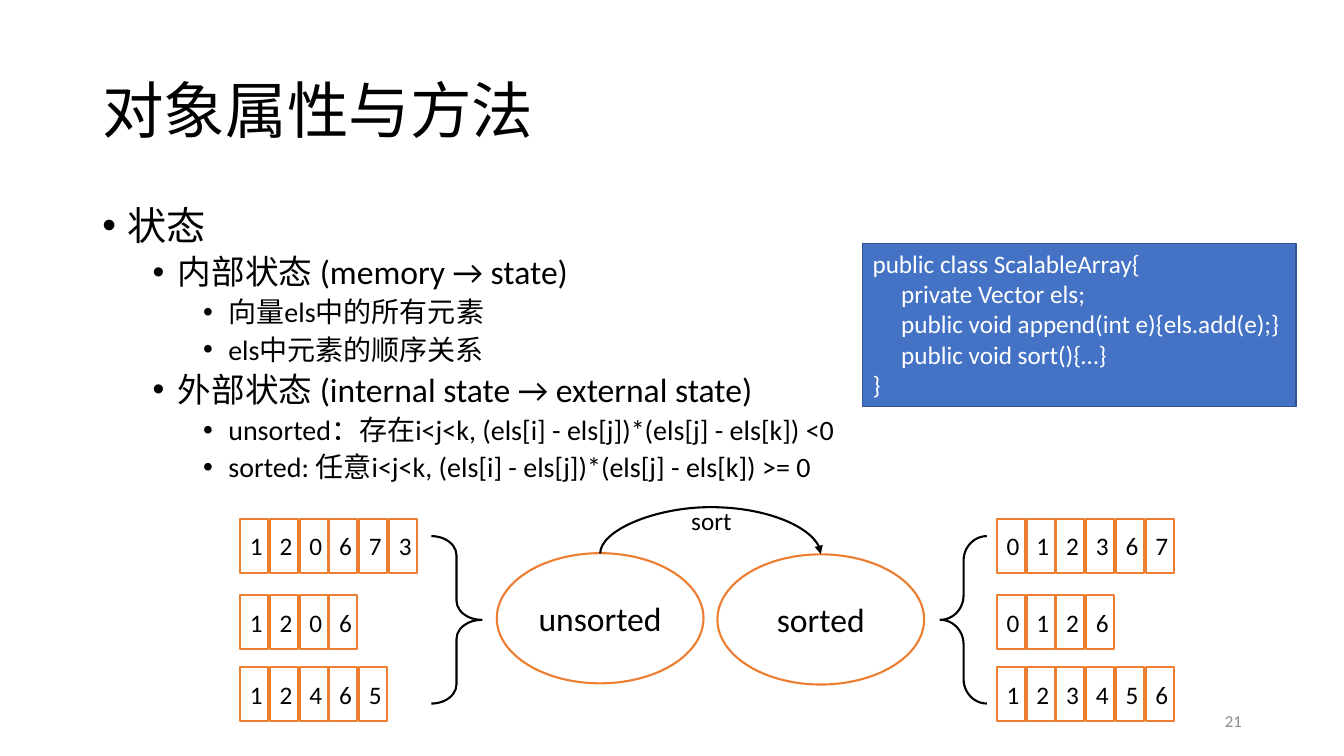
from lxml import etree
from pptx import Presentation
from pptx import util as u
from pptx.dml.color import RGBColor
from pptx.enum import shapes, text
from pptx.oxml.ns import qn

COLOURS = {"black": "000000", "white": "FFFFFF", "orange": "ED7D31",
           "blue": "4472C4", "navy": "325491", "grey": "8C8C8C"}


def colour(name):
    return RGBColor.from_string(COLOURS[name])


def write(para, words, size=18, ink="black", align=None, line=None, before=None):
    """Put one formatted span of text into a paragraph."""
    span = para.add_run()
    span.text = words
    span.font.size = u.Pt(size)
    span.font.name = "Calibri"
    span.font.color.rgb = colour(ink)
    para.alignment = align
    para.line_spacing = line
    if before is not None:
        para.space_before = u.Pt(before)


def indent(para, margin, hanging=0):
    properties = para._p.get_or_add_pPr()
    properties.set("marL", str(u.Cm(margin)))
    properties.set("indent", str(-u.Cm(hanging)))
    return properties


class Slide:
    def __init__(self, deck):
        self.page = deck.slides.add_slide(deck.slide_layouts[6])
        self.line_width = u.Pt(1.5)

    def text_box(self, place, words, wrap=True, anchor=text.MSO_ANCHOR.TOP, **style):
        box = self.page.shapes.add_textbox(*map(u.Cm, place))
        frame = box.text_frame
        frame.word_wrap = wrap
        frame.vertical_anchor = anchor
        if words:
            write(frame.paragraphs[0], words, **style)
        return frame

    def outline(self, items, place):
        frame = self.text_box(place, "")
        for number, (level, words) in enumerate(items):
            para = frame.add_paragraph() if number else frame.paragraphs[0]
            para.level = level
            write(para, words, size=28 - 4 * level, line=0.9, before=5 if level else 10)
            properties = indent(para, 0.635 + 1.27 * level, 0.635)
            etree.SubElement(properties, qn("a:buFont")).set("typeface", "Arial")
            etree.SubElement(properties, qn("a:buChar")).set("char", "•")

    def shape(self, kind, place, fill="white", line="orange", width=None):
        shape = self.page.shapes.add_shape(kind, *map(u.Cm, place))
        shape.shadow.inherit = False
        if fill:
            shape.fill.solid()
            shape.fill.fore_color.rgb = colour(fill)
        else:
            shape.fill.background()
        shape.line.color.rgb = colour(line)
        shape.line.width = width or self.line_width
        return shape

    def label(self, kind, place, words, size=18):
        shape = self.shape(kind, place)
        shape.text_frame.vertical_anchor = text.MSO_ANCHOR.MIDDLE
        write(shape.text_frame.paragraphs[0], words, size, align=text.PP_ALIGN.CENTER)
        return shape

    def code(self, lines, place):
        box = self.shape(shapes.MSO_SHAPE.RECTANGLE, place, "blue", "navy", u.Pt(1))
        frame = box.text_frame
        frame.word_wrap = False
        frame.auto_size = text.MSO_AUTO_SIZE.SHAPE_TO_FIT_TEXT
        frame.vertical_anchor = text.MSO_ANCHOR.TOP
        for number, (depth, words) in enumerate(lines):
            para = frame.add_paragraph() if number else frame.paragraphs[0]
            write(para, words, ink="white", align=text.PP_ALIGN.LEFT)
            indent(para, 0.72 * depth)

    def array(self, digits, left, top):
        for index, digit in enumerate(digits):
            self.label(shapes.MSO_SHAPE.RECTANGLE,
                       (left + 0.75 * index, top, 0.71, 1.37), digit)

    def brace(self, place, curl, flip=False):
        brace = self.shape(shapes.MSO_SHAPE.RIGHT_BRACE, place, None, "black")
        brace.adjustments[0] = curl
        if flip:
            brace._element.spPr.find(qn("a:xfrm")).set("flipH", "1")

    def arc_arrow(self, start, end, rise):
        """Curved arrow from the top of one shape to the top of another."""
        arrow = self.page.shapes.add_connector(shapes.MSO_CONNECTOR.CURVE, 0, 0, 0, 0)
        arrow.begin_connect(start, 0)
        arrow.end_connect(end, 0)
        first, last = (item.left + item.width // 2 for item in (start, end))
        thickness = u.Cm(0.01)
        span = last - first
        arrow.left = (first + last - thickness) // 2
        arrow.top = (start.top + end.top - span) // 2
        arrow.width, arrow.height = thickness, span
        arrow.line.color.rgb = colour("black")
        arrow.line.width = self.line_width
        # Turned a quarter so that the curve bulges upwards
        properties = arrow._element.spPr
        frame = properties.find(qn("a:xfrm"))
        for key, value in (("rot", "16200000"), ("flipH", "1"), ("flipV", "0")):
            frame.set(key, value)
        bulge = etree.SubElement(properties.find(qn("a:prstGeom")).find(qn("a:avLst")),
                                 qn("a:gd"))
        bulge.set("name", "adj1")
        bulge.set("fmla", f"val {-round(u.Cm(rise) / thickness * 100000)}")
        etree.SubElement(properties.find(qn("a:ln")), qn("a:tailEnd")).set("type", "triangle")
        etree.SubElement(properties, qn("a:effectLst"))


def main():
    deck = Presentation()
    deck.slide_width, deck.slide_height = u.Cm(33.87), u.Cm(19.05)
    slide = Slide(deck)
    middle = text.MSO_ANCHOR.MIDDLE

    # Title and outline
    slide.text_box((2.33, 1.01, 29.21, 3.68), "对象属性与方法", anchor=middle,
                   size=44, line=0.9)
    slide.outline([
        (0, "状态"),
        (1, "内部状态 (memory → state)"),
        (2, "向量els中的所有元素"),
        (2, "els中元素的顺序关系"),
        (1, "外部状态 (internal state → external state)"),
        (2, "unsorted：存在i<j<k, (els[i] - els[j])*(els[j] - els[k]) <0"),
        (2, "sorted: 任意i<j<k, (els[i] - els[j])*(els[j] - els[k]) >= 0"),
    ], (2.33, 5.07, 29.21, 12.09))

    # Class listing
    slide.code([
        (0, "public class ScalableArray{"),
        (1, "private Vector els;"),
        (1, "public void append(int e){els.add(e);}"),
        (1, "public void sort(){…}"),
        (0, "}"),
    ], (21.74, 6.13, 10.92, 4.11))

    # Example arrays on both sides
    rows = [(13.07, "120673", "012367"), (14.99, "1206", "0126"),
            (16.81, "12465", "123456")]
    for top, unsorted_digits, sorted_digits in rows:
        slide.array(unsorted_digits, 6.05, top)
        slide.array(sorted_digits, 25.12, top)
    slide.brace((10.87, 13.51, 1.27, 4.22), 0.38)
    slide.brace((23.7, 13.51, 1.17, 4.22), 0.53, flip=True)

    # States and the transition between them
    oval = shapes.MSO_SHAPE.OVAL
    unsorted_state = slide.label(oval, (12.52, 13.94, 5.21, 3.28), "unsorted", 24)
    sorted_state = slide.label(oval, (18.08, 13.97, 5.21, 3.28), "sorted", 24)
    slide.arc_arrow(unsorted_state, sorted_state, 1.17)
    slide.text_box((17.17, 12.6, 1.55, 1.02), "sort", wrap=False)

    # Page number
    slide.text_box((23.93, 17.65, 7.62, 1.02), "21", anchor=middle, size=12,
                   ink="grey", align=text.PP_ALIGN.RIGHT)

    deck.save("out.pptx")


if __name__ == "__main__":
    main()
